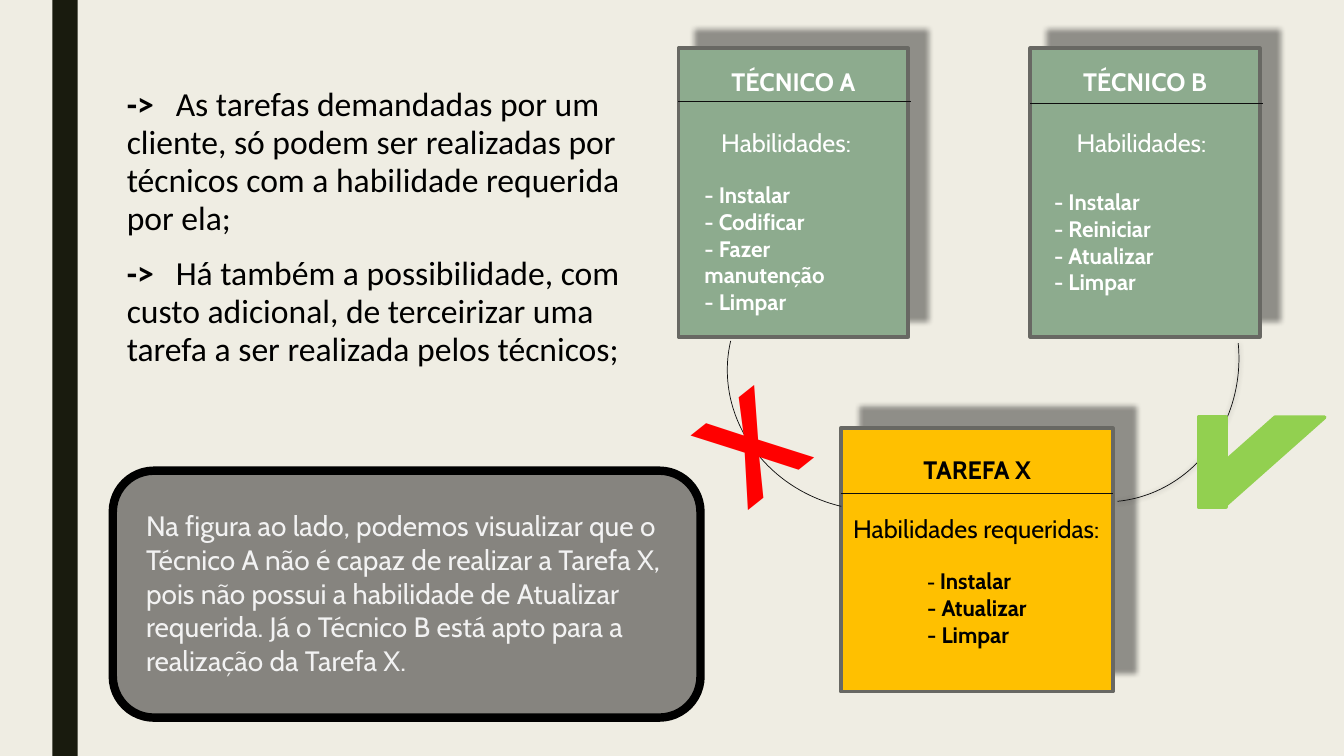
from lxml import etree
from pptx import Presentation
from pptx.dml.color import RGBColor
from pptx.enum.shapes import MSO_CONNECTOR, MSO_SHAPE
from pptx.enum.text import PP_ALIGN
from pptx.oxml.ns import qn
from pptx.util import Pt

LEFT, CENTER = PP_ALIGN.LEFT, PP_ALIGN.CENTER
RECTANGLE, ARC = MSO_SHAPE.RECTANGLE, MSO_SHAPE.ARC
COLORS = {
    "background": "EFEDE3", "bar": "191B0E", "black": "000000", "white": "FFFFFF",
    "technician": "8DAB8E", "task": "FFC000", "border": "686863", "rule": "0D0D0D",
    "cross": "FF0000", "check": "92D050", "note": "F2F2F2",
}


def color(name):
    return RGBColor.from_string(COLORS[name])


def add_shape(kind, box, fill=None, line=None, line_width=0, shadow=None):
    """Add a preset shape; shadow is (opacity %, distance in points, angle in degrees)."""
    shape = slide.shapes.add_shape(kind, *map(Pt, box))
    if fill:
        shape.fill.solid()
        shape.fill.fore_color.rgb = color(fill)
    else:
        shape.fill.background()
    if line:
        shape.line.color.rgb = color(line)
        shape.line.width = Pt(line_width)
    else:
        shape.line.fill.background()
    shape.shadow.inherit = False
    if shadow:
        opacity, distance, angle = shadow
        effects = shape._element.spPr.find(qn("a:effectLst"))
        outer = etree.SubElement(
            effects, qn("a:outerShdw"), blurRad=str(Pt(4)), dist=str(Pt(distance)),
            dir=str(angle * 60000), algn="bl", rotWithShape="0")
        shade = etree.SubElement(outer, qn("a:srgbClr"), val=COLORS["black"])
        etree.SubElement(shade, qn("a:alpha"), val=str(opacity * 1000))
    return shape


def add_text(box, lines, size, font_color, bold=False, alignment=LEFT, font="Cabin"):
    text_box = slide.shapes.add_textbox(*map(Pt, box))
    frame = text_box.text_frame
    frame.word_wrap = True
    frame.text = "\n".join(lines)
    for paragraph in frame.paragraphs:
        paragraph.alignment = alignment
        paragraph.font.name = font
        paragraph.font.size = Pt(size)
        paragraph.font.bold = bold
        paragraph.font.color.rgb = color(font_color)
    return text_box


presentation = Presentation()
presentation.slide_width, presentation.slide_height = Pt(960), Pt(540)
slide = presentation.slides.add_slide(presentation.slide_layouts[6])
slide.background.fill.solid()
slide.background.fill.fore_color.rgb = color("background")

add_shape(RECTANGLE, (37.4, 0, 18, 540), "bar")

# Explanation, with a tab stop after each arrow
explanation = add_text((83.5, 58.3, 381.6, 233.3), ["", ""], 24, "black", font="Calibri")
statements = [
    "As tarefas demandadas por um cliente, só podem ser realizadas por técnicos "
    "com a habilidade requerida por ela;",
    "Há também a possibilidade, com custo adicional, de terceirizar uma tarefa "
    "a ser realizada pelos técnicos;",
]
for paragraph, statement in zip(explanation.text_frame.paragraphs, statements):
    arrow = paragraph.add_run()
    arrow.text = "->"
    arrow.font.bold = True
    paragraph.add_run().text = "\t" + statement
    paragraph.line_spacing = 0.94
    paragraph.space_before, paragraph.space_after = Pt(10), Pt(2)
    properties = paragraph._p.get_or_add_pPr()
    tabs = etree.Element(qn("a:tabLst"))
    etree.SubElement(tabs, qn("a:tab"), pos=str(Pt(35)), algn="l")
    properties.find(qn("a:defRPr")).addprevious(tabs)

# Note
note = add_shape(MSO_SHAPE.ROUNDED_RECTANGLE, (80.6, 336.2, 419.8, 176.4), "black", "black", 6)
note_fill = note._element.spPr.find(qn("a:solidFill"))[0]
etree.SubElement(note_fill, qn("a:alpha"), val="44000")
add_text((97.2, 360, 402.5, 128.2), [
    "Na figura ao lado, podemos visualizar que o Técnico A não é capaz de realizar a "
    "Tarefa X, pois não possui a habilidade de Atualizar requerida. Já o Técnico B está "
    "apto para a realização da Tarefa X."], 20, "note")

# Technician cards: name, card left, title left, skills left, text width, indent, gap, skills
technicians = [
    ("TÉCNICO A", 484.6, 491.8, 496.1, 149.8, 12, 17,
     ["- Instalar", "- Codificar", "- Fazer manutenção", "- Limpar"]),
    ("TÉCNICO B", 735.8, 745.9, 745.9, 144, 16, 22,
     ["- Instalar", "- Reiniciar", "- Atualizar", "- Limpar"]),
]
for name, card_left, title_left, skills_left, width, indent, gap, skills in technicians:
    add_shape(RECTANGLE, (card_left, 34.6, 164.2, 205.9), "technician", "border", 2.75,
              (40, 18, 315))
    add_text((title_left, 43.9, width, 28.8), [name], 18, "white", True, CENTER)
    skill_box = add_text((skills_left, 87.1, width, 126), ["Habilidades:"] + skills,
                         16, "white", True)
    heading, first_skill = skill_box.text_frame.paragraphs[:2]
    heading.font.size, heading.font.bold = Pt(18), False
    heading._p.get_or_add_pPr().set("marL", str(Pt(indent)))
    first_skill.space_before = Pt(gap)

# Task card
add_shape(RECTANGLE, (600.5, 306, 194.4, 187.9), "task", "border", 2.75, (40, 21, 315))
add_text((614.9, 321.1, 166.3, 28.8), ["TAREFA X"], 18, "black", True, CENTER)
add_text((560.9, 362.9, 272.9, 28.8), ["Habilidades requeridas:"], 18, "black",
         alignment=CENTER)
required = add_text((655.2, 401.8, 166.3, 65), ["- ", "- Atualizar", "- Limpar"],
                    16, "black", True)
first_required = required.text_frame.paragraphs[0]
first_required.runs[0].font.size = Pt(14)
first_required.add_run().text = "Instalar"

# Rules under the card titles: left, y, length
for left, y, length in [(484.6, 72.7, 166.3), (735.8, 74.2, 166.3), (600.5, 352.1, 194.4)]:
    rule = slide.shapes.add_connector(MSO_CONNECTOR.STRAIGHT, Pt(left), Pt(y),
                                      Pt(left + length), Pt(y))
    rule.line.color.rgb = color("rule")
    rule.line.width = Pt(0.5)
    etree.SubElement(rule._element.spPr, qn("a:effectLst"))

# Arcs from the technicians to the task
for left, top, rotation, shadow in [(519.1, 170.6, 193.3, None),
                                    (684, 157.7, 84.4, (43, 0, 90))]:
    arc = add_shape(ARC, (left, top, 208.1, 193.7), None, "rule", 0.5, shadow)
    arc.rotation = rotation

# Cross and check mark
cross = add_text((491, 236.2, 132.5, 123.8), ["X"], 96, "cross", True)
cross.rotation = 321.5
add_shape(RECTANGLE, (856.1, 298.1, 19.4, 64.1), "check", "check", 2.75)
add_shape(MSO_SHAPE.DIAGONAL_STRIPE, (875.5, 298.1, 70.6, 62.6), "check", "check", 2.75)

presentation.save("out.pptx")
